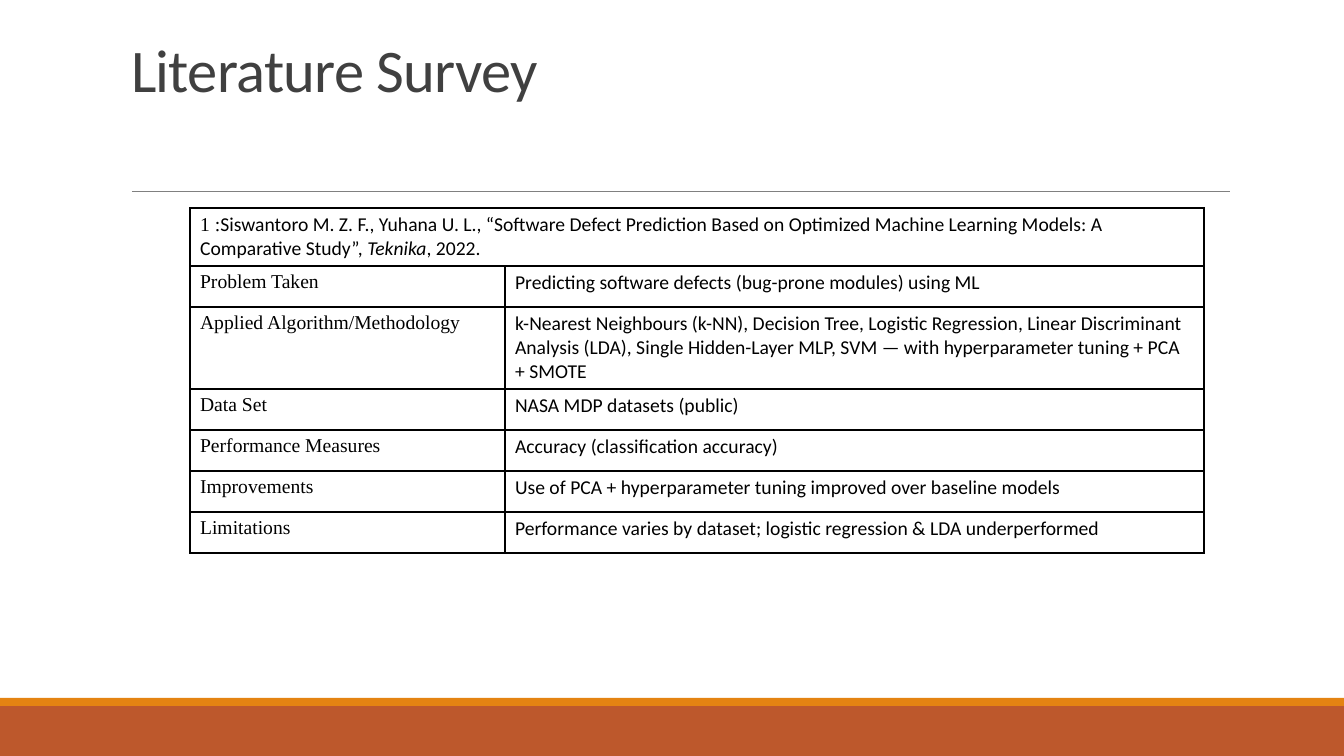
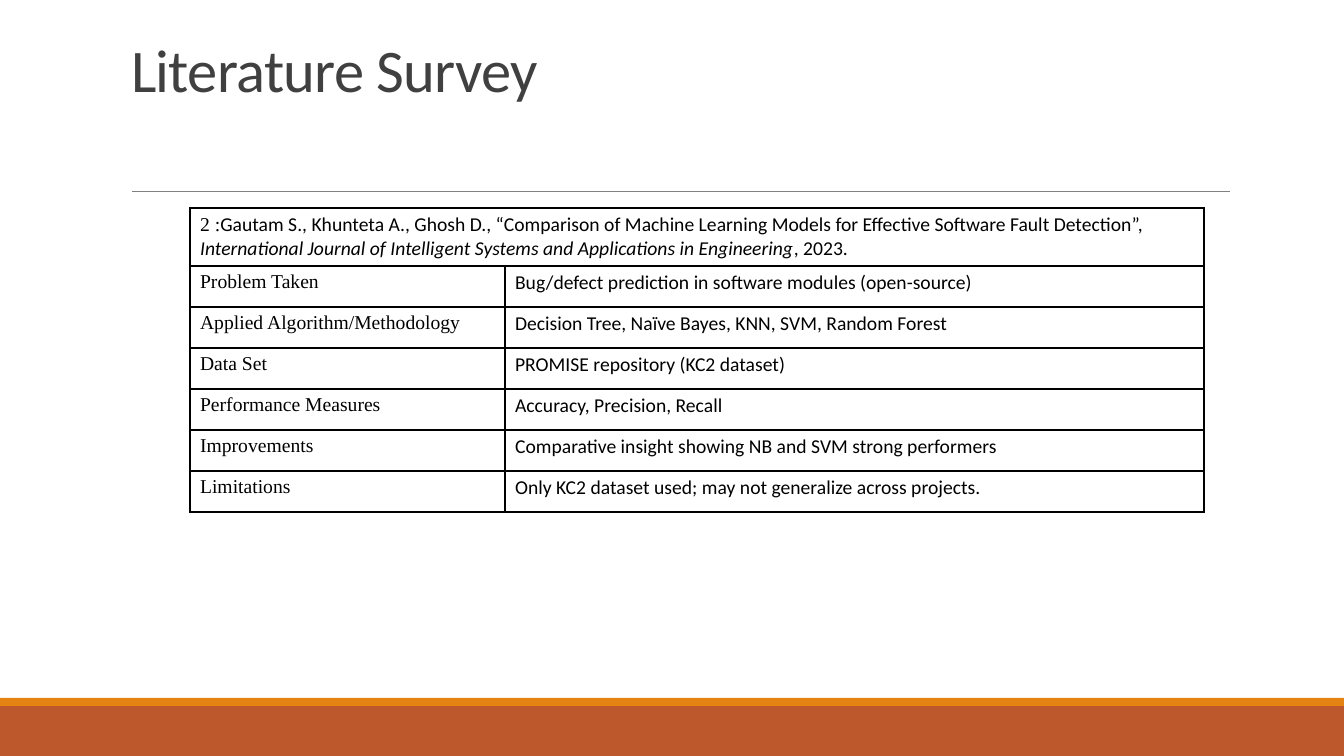
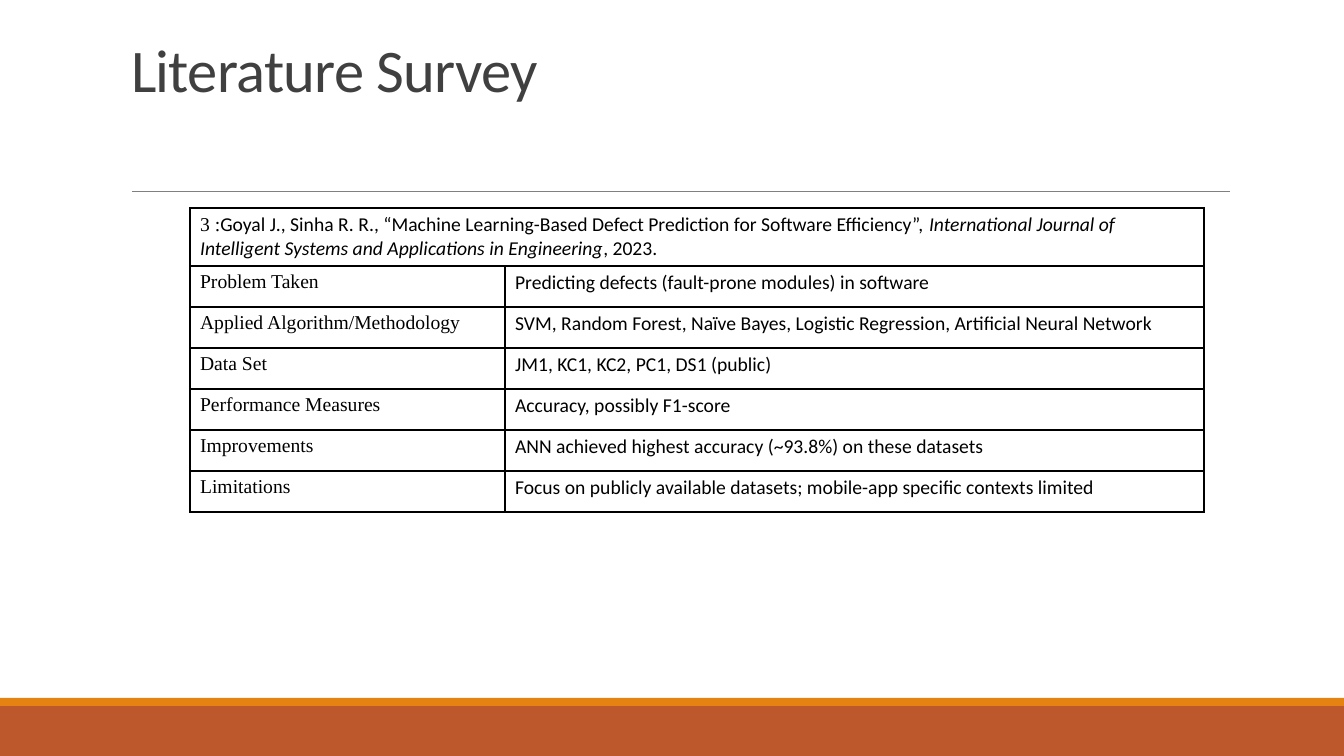
from lxml import etree
from pptx import Presentation
from pptx import util as u
from pptx.dml.color import RGBColor
from pptx.enum import shapes, text
from pptx.oxml import ns

TITLE = "Literature Survey"
SANS, SERIF = "Calibri", "Times New Roman"
LABELS = ["Problem Taken", "Applied Algorithm/Methodology", "Data Set",
          "Performance Measures", "Improvements", "Limitations"]
ENGINEERING_JOURNAL = "International Journal of Intelligent Systems and Applications in Engineering"
PAPERS = [
    {
        "citation": "Siswantoro M. Z. F., Yuhana U. L., “Software Defect Prediction Based on "
                    "Optimized Machine Learning Models: A Comparative Study”, ",
        "journal": "Teknika",
        "year": ", 2022.",
        "findings": [
            "Predicting software defects (bug-prone modules) using ML",
            "k-Nearest Neighbours (k-NN), Decision Tree, Logistic Regression, Linear Discriminant "
            "Analysis (LDA), Single Hidden-Layer MLP, SVM — with hyperparameter tuning + PCA + SMOTE",
            "NASA MDP datasets (public)",
            "Accuracy (classification accuracy)",
            "Use of PCA + hyperparameter tuning improved over baseline models",
            "Performance varies by dataset; logistic regression & LDA underperformed",
        ],
    },
    {
        "citation": "Gautam S., Khunteta A., Ghosh D., “Comparison of Machine Learning Models for "
                    "Effective Software Fault Detection”, ",
        "journal": ENGINEERING_JOURNAL,
        "year": ", 2023.",
        "findings": [
            "Bug/defect prediction in software modules (open-source)",
            "Decision Tree, Naïve Bayes, KNN, SVM, Random Forest",
            "PROMISE repository (KC2 dataset)",
            "Accuracy, Precision, Recall",
            "Comparative insight showing NB and SVM strong performers",
            "Only KC2 dataset used; may not generalize across projects.",
        ],
    },
    {
        "citation": "Goyal J., Sinha R. R., “Machine Learning-Based Defect Prediction for "
                    "Software Efficiency”, ",
        "journal": ENGINEERING_JOURNAL,
        "year": ", 2023.",
        "findings": [
            "Predicting defects (fault-prone modules) in software",
            "SVM, Random Forest, Naïve Bayes, Logistic Regression, Artificial Neural Network",
            "JM1, KC1, KC2, PC1, DS1 (public)",
            "Accuracy, possibly F1-score",
            "ANN achieved highest accuracy (~93.8%) on these datasets",
            "Focus on publicly available datasets; mobile-app specific contexts limited",
        ],
    },
]

BLACK = RGBColor(0x00, 0x00, 0x00)
DARK_GREY = RGBColor(0x40, 0x40, 0x40)
RULE_GREY = RGBColor(0x80, 0x80, 0x80)
RUST = RGBColor(0xBD, 0x58, 0x2C)
ORANGE = RGBColor(0xE4, 0x83, 0x12)

SLIDE_WIDTH, SLIDE_HEIGHT = 1344, 756
BANDS = [(706, 50, RUST), (698, 8, ORANGE)]
TITLE_BOX = (121, 31, 1109, 79)
RULE_LEFT, RULE_RIGHT, RULE_TOP = 132, 1230, 191
TABLE_LEFT, TABLE_TOP = 190, 208
COLUMN_WIDTHS = [315, 699]
CITATION_HEIGHT, ROW_HEIGHT, TALL_ROW_HEIGHT = 58, 41, 82
CHARACTERS_PER_LINE = 85


def px(length):
    return u.Emu(round(length * 914400 / 100.8))


def add_frame(slide):
    for top, height, color in BANDS:
        band = slide.shapes.add_shape(shapes.MSO_SHAPE.RECTANGLE, 0, px(top), px(SLIDE_WIDTH), px(height))
        band.shadow.inherit = False
        band.fill.solid()
        band.fill.fore_color.rgb = color
        band.line.fill.background()
    rule = slide.shapes.add_connector(shapes.MSO_CONNECTOR.STRAIGHT, px(RULE_LEFT), px(RULE_TOP),
                                      px(RULE_RIGHT), px(RULE_TOP))
    rule.line.color.rgb = RULE_GREY
    rule.line.width = u.Pt(0.5)
    etree.SubElement(rule._element.spPr, ns.qn("a:effectLst"))


def set_title(slide):
    title = slide.shapes.title
    title.left, title.top, title.width, title.height = map(px, TITLE_BOX)
    frame = title.text_frame
    frame.text = TITLE
    frame.auto_size = text.MSO_AUTO_SIZE.NONE
    frame.vertical_anchor = text.MSO_ANCHOR.BOTTOM
    paragraph = frame.paragraphs[0]
    paragraph.alignment = text.PP_ALIGN.LEFT
    paragraph.line_spacing = 0.85
    run = paragraph.runs[0]
    run.font.name, run.font.size = SANS, u.Pt(43.2)
    run.font.color.rgb = DARK_GREY
    run.font._element.set("spc", "-50")


def draw_borders(cell):
    properties = cell._tc.get_or_add_tcPr()
    for side in ("lnL", "lnR", "lnT", "lnB"):
        border = etree.SubElement(properties, ns.qn(f"a:{side}"), w=str(u.Pt(1)))
        fill = etree.SubElement(border, ns.qn("a:solidFill"))
        etree.SubElement(fill, ns.qn("a:srgbClr"), val=str(BLACK))


def write_cell(cell, *pieces):
    paragraph = cell.text_frame.paragraphs[0]
    for words, font_name, italic in pieces:
        run = paragraph.add_run()
        run.text = words
        run.font.name, run.font.size, run.font.italic = font_name, u.Pt(14), italic
        run.font.color.rgb = BLACK


def add_paper_table(slide, number, paper):
    findings = paper["findings"]
    heights = [CITATION_HEIGHT] + [
        TALL_ROW_HEIGHT if len(finding) > CHARACTERS_PER_LINE else ROW_HEIGHT for finding in findings]
    table = slide.shapes.add_table(len(heights), len(COLUMN_WIDTHS), px(TABLE_LEFT), px(TABLE_TOP),
                                   px(sum(COLUMN_WIDTHS)), px(sum(heights))).table
    table.first_row = table.horz_banding = False
    for column, width in zip(table.columns, COLUMN_WIDTHS):
        column.width = px(width)
    for row, height in zip(table.rows, heights):
        row.height = px(height)
    for cell in table.iter_cells():
        draw_borders(cell)
        cell.fill.background()
    table.cell(0, 0).merge(table.cell(0, 1))
    write_cell(table.cell(0, 0), (f"{number} :", SERIF, False), (paper["citation"], SANS, False),
               (paper["journal"], SANS, True), (paper["year"], SANS, False))
    for index, (label, finding) in enumerate(zip(LABELS, findings), 1):
        write_cell(table.cell(index, 0), (label, SERIF, False))
        write_cell(table.cell(index, 1), (finding, SANS, False))


def main():
    presentation = Presentation()
    presentation.slide_width, presentation.slide_height = px(SLIDE_WIDTH), px(SLIDE_HEIGHT)
    for number, paper in enumerate(PAPERS, 1):
        slide = presentation.slides.add_slide(presentation.slide_layouts[5])
        add_frame(slide)
        set_title(slide)
        add_paper_table(slide, number, paper)
    presentation.save("out.pptx")


if __name__ == "__main__":
    main()
